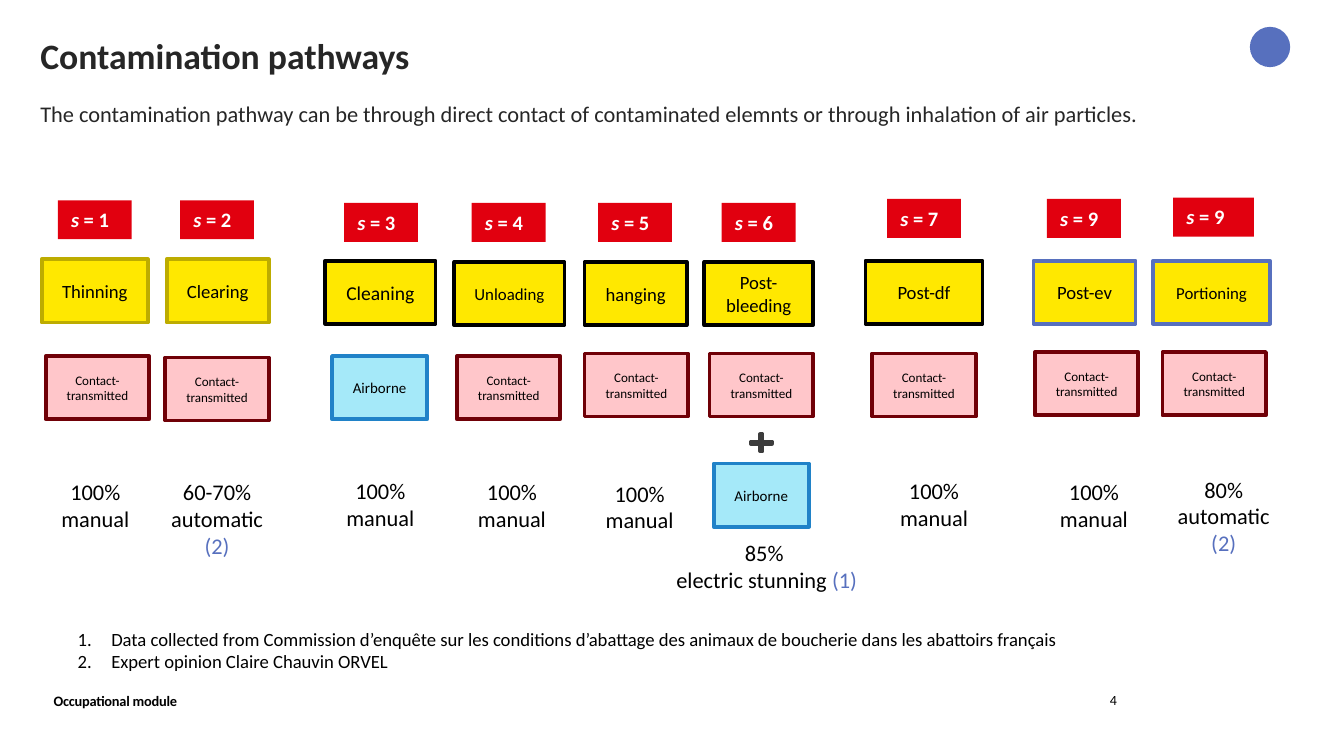
import pptx
import pptx.util
import pptx.dml.color
import pptx.enum.shapes
import pptx.enum.text
import pptx.oxml.ns
import lxml.etree
from collections import namedtuple
from pptx.util import Inches, Pt

SHAPE = pptx.enum.shapes.MSO_SHAPE
ALIGN = pptx.enum.text.PP_ALIGN
ANCHOR = pptx.enum.text.MSO_ANCHOR

FONT = "Calibri"
BLACK, DARK, WHITE = "000000", "262626", "FFFFFF"
RED, YELLOW, OLIVE, BLUE = "E1000F", "FFE800", "BDAC00", "5770BE"

Run = namedtuple("Run", "text size color bold italic tracking",
                 defaults=(12, BLACK, False, False, 0))
Route = namedtuple("Route", "label size width fill line")
Step = namedtuple("Step", "number name size border badge box route note")

CONTACT = Route("Contact-transmitted", 7, 0.77, "FFC6CA", "700007")
AIRBORNE = Route("Airborne", 8, 0.71, "A5E9F9", "2082C8")

MANUAL = [[Run("100%")], [Run("manual")]]
STUNNING = [[Run("85% ")], [Run("electric stunning "), Run("(1)", color=BLUE)]]


def automatic(share):
    return [[Run(f"{share} automatic "), Run("(2)", color=BLUE)]]


STEPS = [
    Step(1, "Thinning", 10, OLIVE, (0.43, 1.49, 0.55), (0.31, 1.93, 0.79),
         (CONTACT, 0.34, 2.65), (0.31, 3.51, 0.8, 0.5, MANUAL)),
    Step(2, "Clearing", 10, OLIVE, (1.34, 1.49, 0.55), (1.24, 1.93, 0.76),
         (CONTACT, 1.23, 2.66), (1.09, 3.51, 1.05, 0.71, automatic("60-70%"))),
    Step(3, "Cleaning", 10.5, BLACK, (2.56, 1.51, 0.55), (2.42, 1.94, 0.82),
         (AIRBORNE, 2.47, 2.65), (2.43, 3.5, 0.8, 0.5, MANUAL)),
    Step(4, "Unloading", 9, BLACK, (3.51, 1.51, 0.55), (3.38, 1.95, 0.82),
         (CONTACT, 3.4, 2.65), (3.41, 3.51, 0.8, 0.5, MANUAL)),
    Step(5, "hanging", 10, BLACK, (4.45, 1.51, 0.55), (4.35, 1.95, 0.76),
         (CONTACT, 4.35, 2.63), (4.36, 3.52, 0.8, 0.5, MANUAL)),
    Step(6, "Post-bleeding", 10, BLACK, (5.37, 1.51, 0.55), (5.24, 1.95, 0.81),
         (CONTACT, 5.28, 2.63), (4.52, 3.96, 2.37, 0.5, STUNNING)),
    Step(7, "Post-df", 10, BLACK, (6.6, 1.48, 0.55), (6.44, 1.94, 0.87),
         (CONTACT, 6.49, 2.63), (6.55, 3.5, 0.8, 0.5, MANUAL)),
    Step(9, "Post-ev", 10, BLUE, (7.79, 1.48, 0.55), (7.69, 1.94, 0.76),
         (CONTACT, 7.7, 2.62), (7.74, 3.51, 0.8, 0.5, MANUAL)),
    Step(9, "Portioning", 9, BLUE, (8.73, 1.47, 0.6), (8.58, 1.94, 0.87),
         (CONTACT, 8.65, 2.62), (8.58, 3.49, 1.05, 0.71, automatic("80%"))),
]


def rgb(value):
    return pptx.dml.color.RGBColor.from_string(value)


def write(tf, paragraphs, align=ALIGN.LEFT, anchor=ANCHOR.TOP, spacing=None):
    tf.word_wrap = True
    tf.vertical_anchor = anchor
    for i, runs in enumerate(paragraphs):
        p = tf.add_paragraph() if i else tf.paragraphs[0]
        p.alignment = align
        if spacing:
            p.line_spacing = spacing
        for run in runs:
            r = p.add_run()
            r.text = run.text
            r.font.name = FONT
            r.font.size = Pt(run.size)
            r.font.bold = run.bold
            r.font.italic = run.italic
            r.font.color.rgb = rgb(run.color)
            if run.tracking:
                r._r.get_or_add_rPr().set("spc", str(round(run.tracking * 100)))


def add_text(s, x, y, w, h, paragraphs, inset=True, **layout):
    tf = s.shapes.add_textbox(Inches(x), Inches(y), Inches(w), Inches(h)).text_frame
    if not inset:
        tf.margin_left = tf.margin_right = tf.margin_top = tf.margin_bottom = 0
    write(tf, paragraphs, **layout)
    return tf


def add_shape(s, kind, x, y, w, h, fill, line=None):
    sp = s.shapes.add_shape(kind, Inches(x), Inches(y), Inches(w), Inches(h))
    sp.shadow.inherit = False
    sp.fill.solid()
    sp.fill.fore_color.rgb = rgb(fill)
    if line:
        sp.line.color.rgb = rgb(line)
        sp.line.width = Pt(2)
    else:
        sp.line.fill.background()
    return sp


def add_box(s, x, y, w, label, size, fill, line):
    sp = add_shape(s, SHAPE.RECTANGLE, x, y, w, 0.47, fill, line)
    write(sp.text_frame, [[Run(label, size)]], ALIGN.CENTER, ANCHOR.MIDDLE)


def add_badge(s, x, y, w, number):
    sp = add_shape(s, SHAPE.RECTANGLE, x, y, w, 0.29, RED)
    write(sp.text_frame, [[Run("s", 11, WHITE, True, True),
                           Run(f" = {number}", 11, WHITE, True)]])


def add_route(s, route, x, y):
    add_box(s, x, y, route.width, route.label, route.size, route.fill, route.line)


def add_step(s, step):
    add_badge(s, *step.badge, step.number)
    add_box(s, *step.box, step.name, step.size, YELLOW, step.border)
    add_route(s, *step.route)
    add_text(s, *step.note, align=ALIGN.CENTER)


def number_paragraphs(tf):
    for p in tf.paragraphs:
        pPr = p._p.get_or_add_pPr()
        pPr.set("marL", str(Inches(0.25)))
        pPr.set("indent", str(-Inches(0.25)))
        bullet = lxml.etree.SubElement(pPr, pptx.oxml.ns.qn("a:buAutoNum"))
        bullet.set("type", "arabicPeriod")


def main():
    prs = pptx.Presentation()
    prs.slide_width = Inches(10)
    prs.slide_height = Inches(10 * 9 / 16)
    s = prs.slides.add_slide(prs.slide_layouts[6])

    add_shape(s, SHAPE.OVAL, 9.3, 0.2, 0.3, 0.3, BLUE)
    add_text(s, 0.3, 0.29, 8.92, 0.7,
             [[Run("Contamination pathways", 19.1, DARK, True)]],
             inset=False, spacing=0.9)
    add_text(s, 0.3, 0.77, 8.92, 0.7,
             [[Run("The contamination pathway can be through direct contact of "
                   "contaminated elemnts or through inhalation of air particles.",
                   12, DARK)]],
             inset=False, spacing=0.9)

    for step in STEPS:
        add_step(s, step)
    plus = add_shape(s, SHAPE.MATH_PLUS, 5.56, 3.21, 0.21, 0.17, BLACK, "3C3C3C")
    plus.adjustments[0] = 0.11
    add_route(s, AIRBORNE, 5.31, 3.45)

    notes = add_text(s, 0.48, 4.62, 9.4, 0.61, [
        [Run("Data collected from Commission d’enquête sur les conditions d’abattage "
             "des animaux de boucherie dans les abattoirs français", 10)],
        [Run("Expert opinion Claire Chauvin ORVEL", 10)]])
    number_paragraphs(notes)

    add_text(s, 0.3, 5.1, 3.38, 0.23,
             [[Run("Occupational module", 7.7, bold=True, tracking=-0.1)]],
             anchor=ANCHOR.BOTTOM)
    add_text(s, 6.93, 5.1, 1.48, 0.23, [[Run("4", 7.5)]], align=ALIGN.RIGHT)
    prs.save("out.pptx")


if __name__ == "__main__":
    main()
